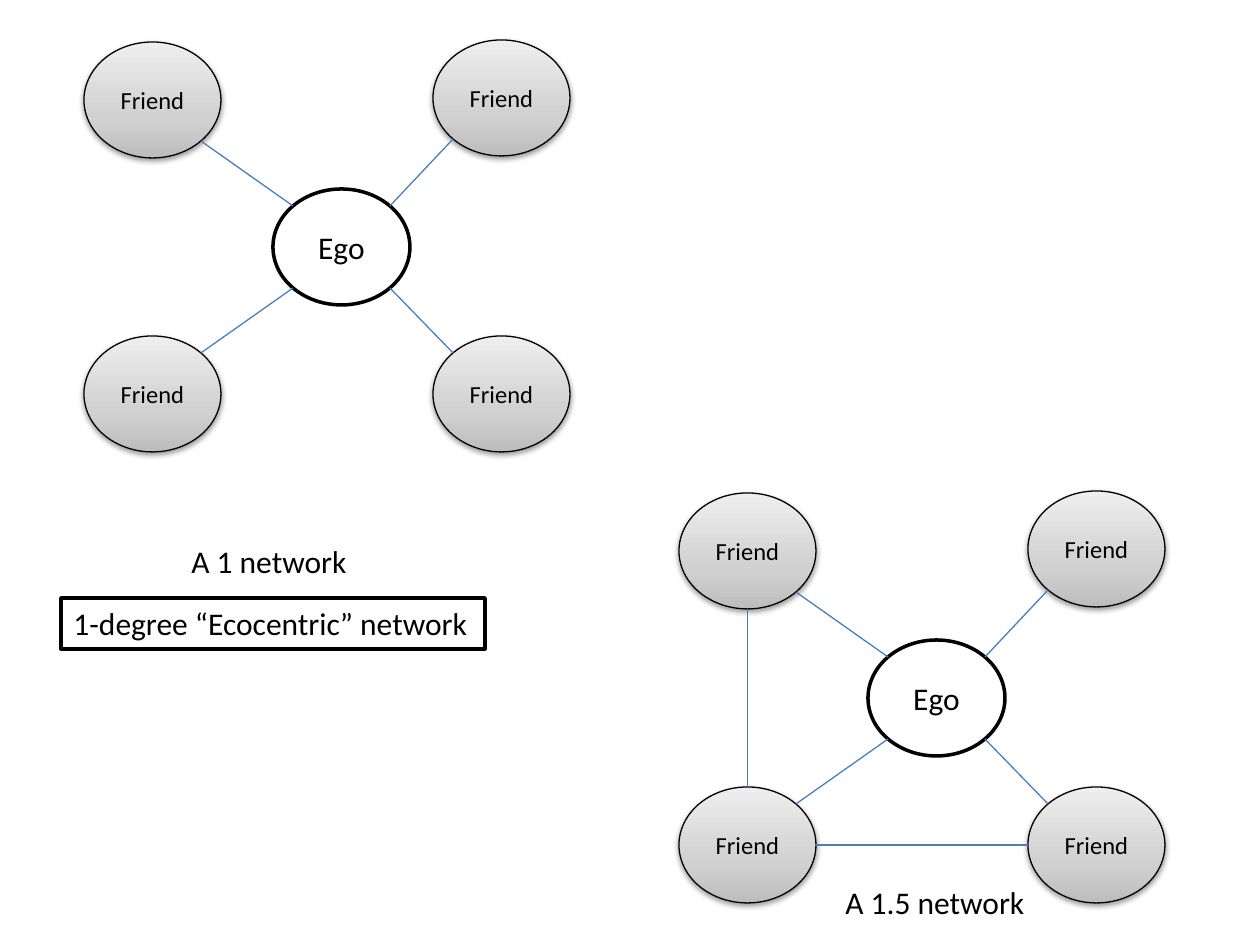
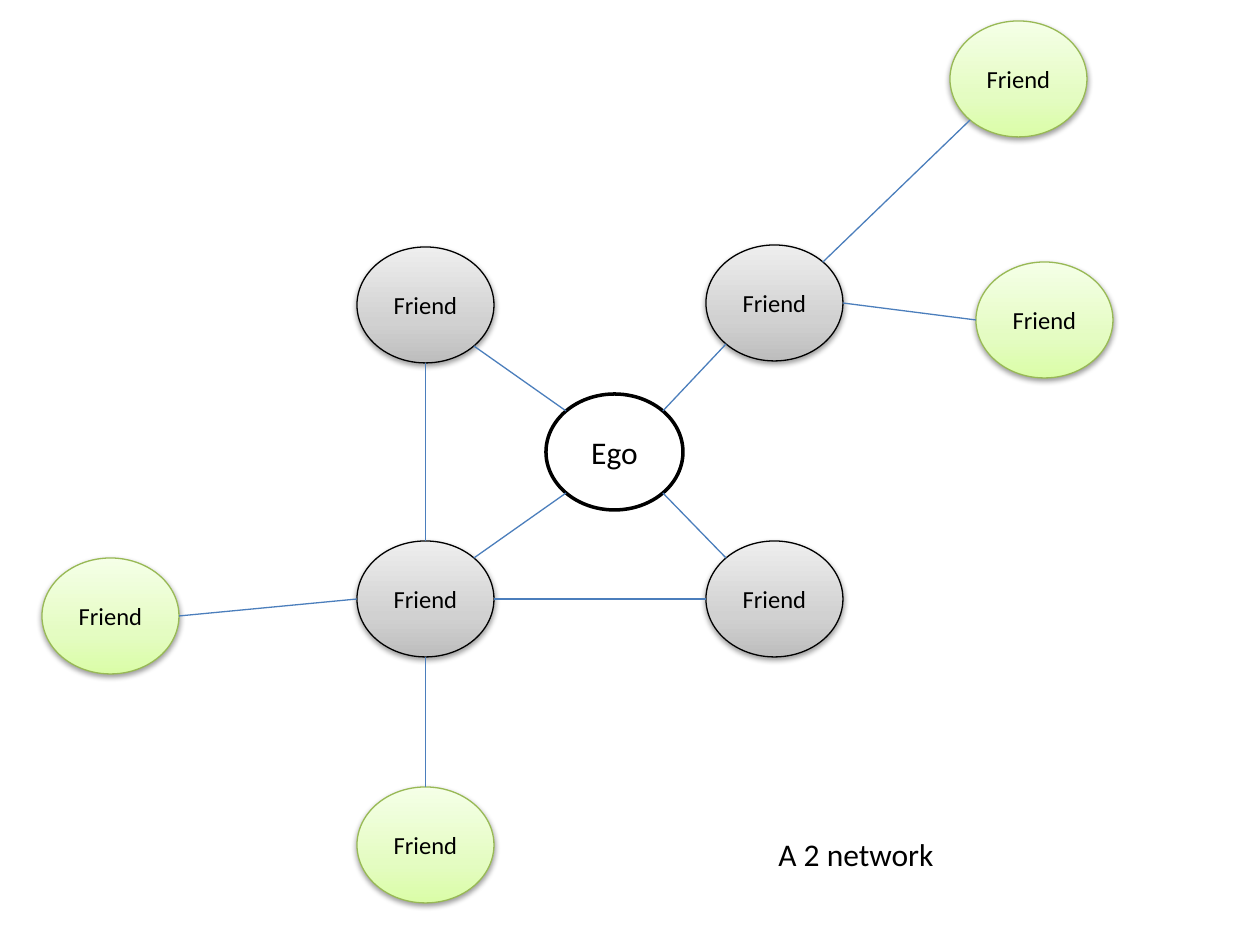
from copy import deepcopy
from math import sqrt

from lxml import etree
from pptx import Presentation
from pptx.dml.color import RGBColor
from pptx.enum import shapes, text
from pptx.oxml import ns
from pptx.util import Emu, Pt

FONT = "Calibri"
BLACK = RGBColor(0, 0, 0)
WHITE = RGBColor(255, 255, 255)
LINK_BLUE = RGBColor(0x4B, 0x7E, 0xBC)
GREEN = RGBColor(0x98, 0xB9, 0x55)
GREY_STOPS = [(0, RGBColor(0xBD, 0xBD, 0xBD)), (0.35, RGBColor(0xD1, 0xD1, 0xD1)),
              (1, RGBColor(0xEE, 0xEE, 0xEE))]
GREEN_STOPS = [(0, RGBColor(0xDA, 0xFD, 0xA7)), (0.35, RGBColor(0xE4, 0xFC, 0xC2)),
               (1, RGBColor(0xF5, 0xFF, 0xE7))]

# label, text size, line colour, line width, gradient stops (None: plain white)
NODE_STYLES = {
    "ego": ("Ego", 18, BLACK, 2, None),
    "friend": ("Friend", 14, BLACK, 0.75, GREY_STOPS),
    "outer": ("Friend", 14, GREEN, 0.75, GREEN_STOPS),
}
NODE_WIDTH, NODE_HEIGHT = 137, 116

# Offsets of the friends from the ego
FRIEND_OFFSETS = {"nw": (-189, -147), "sw": (-189, 147), "ne": (160, -149), "se": (160, 147)}

# Direction of each connection site of an ellipse, with the site's index
DIAGONAL = sqrt(0.5)
SITES = {
    "top": (0, 0, -1), "top left": (1, -DIAGONAL, -DIAGONAL),
    "left": (2, -1, 0), "bottom left": (3, -DIAGONAL, DIAGONAL),
    "bottom": (4, 0, 1), "bottom right": (5, DIAGONAL, DIAGONAL),
    "right": (6, 1, 0), "top right": (7, DIAGONAL, -DIAGONAL),
}
EGO_LINKS = [
    ("ego", "top left", "nw", "bottom right"),
    ("ego", "top right", "ne", "bottom left"),
    ("ego", "bottom left", "sw", "top right"),
    ("ego", "bottom right", "se", "top left"),
]
FRIEND_LINKS = [("nw", "bottom", "sw", "top"), ("sw", "right", "se", "left")]
OUTER_LINKS = [
    ("ne", "top right", "far north", "bottom left"),
    ("ne", "right", "far east", "left"),
    ("sw", "left", "far west", "right"),
    ("sw", "bottom", "far south", "top"),
]
OUTER_FRIENDS = {"far south": (357, 787), "far west": (42, 558),
                 "far east": (976, 262), "far north": (950, 21)}

# Networks: ego position, outer friends, links. Captions: words, left, top, width, boxed
SLIDES = [
    {
        "networks": [((273, 189), {}, EGO_LINKS),
                     ((868, 640), {}, EGO_LINKS + FRIEND_LINKS)],
        "captions": [("A 1 network", 179, 536, 183, False),
                     ("A 1.5 network", 833, 877, 207, False),
                     ("1-degree “Ecocentric” network", 61, 598, 424, True)],
    },
    {
        "networks": [((546, 394), OUTER_FRIENDS, EGO_LINKS + FRIEND_LINKS + OUTER_LINKS)],
        "captions": [("A 2 network", 766, 829, 183, False)],
    },
]
CAPTION_HEIGHT = 51


def px(length):
    return Emu(round(length * 914400 / 126))


def write(shape, words, size, alignment):
    paragraph = shape.text_frame.paragraphs[0]
    paragraph.text = words
    paragraph.alignment = alignment
    paragraph.font.name = FONT
    paragraph.font.size = Pt(size)
    paragraph.font.color.rgb = BLACK


def fill_gradient(shape, stops):
    """Fill from bottom to top with three colours."""
    shape.fill.gradient()
    shape.fill.gradient_angle = 90
    stop_list = shape.element.spPr.find(".//" + ns.qn("a:gsLst"))
    stop_list.append(deepcopy(stop_list[0]))
    for stop, (position, color) in zip(shape.fill.gradient_stops, stops):
        stop.position = position
        stop.color.rgb = color


def add_soft_shadow(shape):
    effects = shape.element.spPr.find(ns.qn("a:effectLst"))
    shadow = etree.SubElement(effects, ns.qn("a:outerShdw"), blurRad="40000",
                              dist="20000", dir="5400000", rotWithShape="0")
    color = etree.SubElement(shadow, ns.qn("a:srgbClr"), val=str(BLACK))
    etree.SubElement(color, ns.qn("a:alpha"), val="38000")


def add_node(slide, style, left, top):
    label, size, line_color, line_width, stops = NODE_STYLES[style]
    node = slide.shapes.add_shape(shapes.MSO_SHAPE.OVAL, px(left), px(top),
                                  px(NODE_WIDTH), px(NODE_HEIGHT))
    node.shadow.inherit = False
    if stops:
        fill_gradient(node, stops)
        add_soft_shadow(node)
    else:
        node.fill.solid()
        node.fill.fore_color.rgb = WHITE
    node.line.color.rgb = line_color
    node.line.width = Pt(line_width)
    node.text_frame.vertical_anchor = text.MSO_ANCHOR.MIDDLE
    write(node, label, size, text.PP_ALIGN.CENTER)
    return node


def site_point(node, site):
    _, across, down = SITES[site]
    return (round(node.left + node.width * (1 + across) / 2),
            round(node.top + node.height * (1 + down) / 2))


def add_link(slide, start, start_site, end, end_site):
    link = slide.shapes.add_connector(shapes.MSO_CONNECTOR.STRAIGHT,
                                      *site_point(start, start_site),
                                      *site_point(end, end_site))
    link.line.color.rgb = LINK_BLUE
    link.line.width = Pt(0.75)
    etree.SubElement(link.element.spPr, ns.qn("a:effectLst"))
    # begin_connect knows only four sites; an ellipse has eight
    joints = link.element.find(".//" + ns.qn("p:cNvCxnSpPr"))
    for tag, node, site in (("a:stCxn", start, start_site), ("a:endCxn", end, end_site)):
        etree.SubElement(joints, ns.qn(tag), id=str(node.shape_id), idx=str(SITES[site][0]))


def add_network(slide, ego_position, outer_friends, links):
    left, top = ego_position
    nodes = {"ego": add_node(slide, "ego", left, top)}
    for name, (across, down) in FRIEND_OFFSETS.items():
        nodes[name] = add_node(slide, "friend", left + across, top + down)
    for name, position in outer_friends.items():
        nodes[name] = add_node(slide, "outer", *position)
    for start, start_site, end, end_site in links:
        add_link(slide, nodes[start], start_site, nodes[end], end_site)


def add_caption(slide, words, left, top, width, boxed):
    caption = slide.shapes.add_textbox(px(left), px(top), px(width), px(CAPTION_HEIGHT))
    caption.text_frame.word_wrap = False
    caption.text_frame.auto_size = text.MSO_AUTO_SIZE.SHAPE_TO_FIT_TEXT
    if boxed:
        caption.fill.solid()
        caption.fill.fore_color.rgb = WHITE
        caption.line.color.rgb = BLACK
        caption.line.width = Pt(2)
    write(caption, words, 18, text.PP_ALIGN.LEFT)


def main():
    presentation = Presentation()
    presentation.slide_width, presentation.slide_height = px(1260), px(945)
    blank_layout = presentation.slide_layouts.get_by_name("Blank")
    for content in SLIDES:
        slide = presentation.slides.add_slide(blank_layout)
        for network in content["networks"]:
            add_network(slide, *network)
        for caption in content["captions"]:
            add_caption(slide, *caption)
    presentation.save("out.pptx")


if __name__ == "__main__":
    main()
